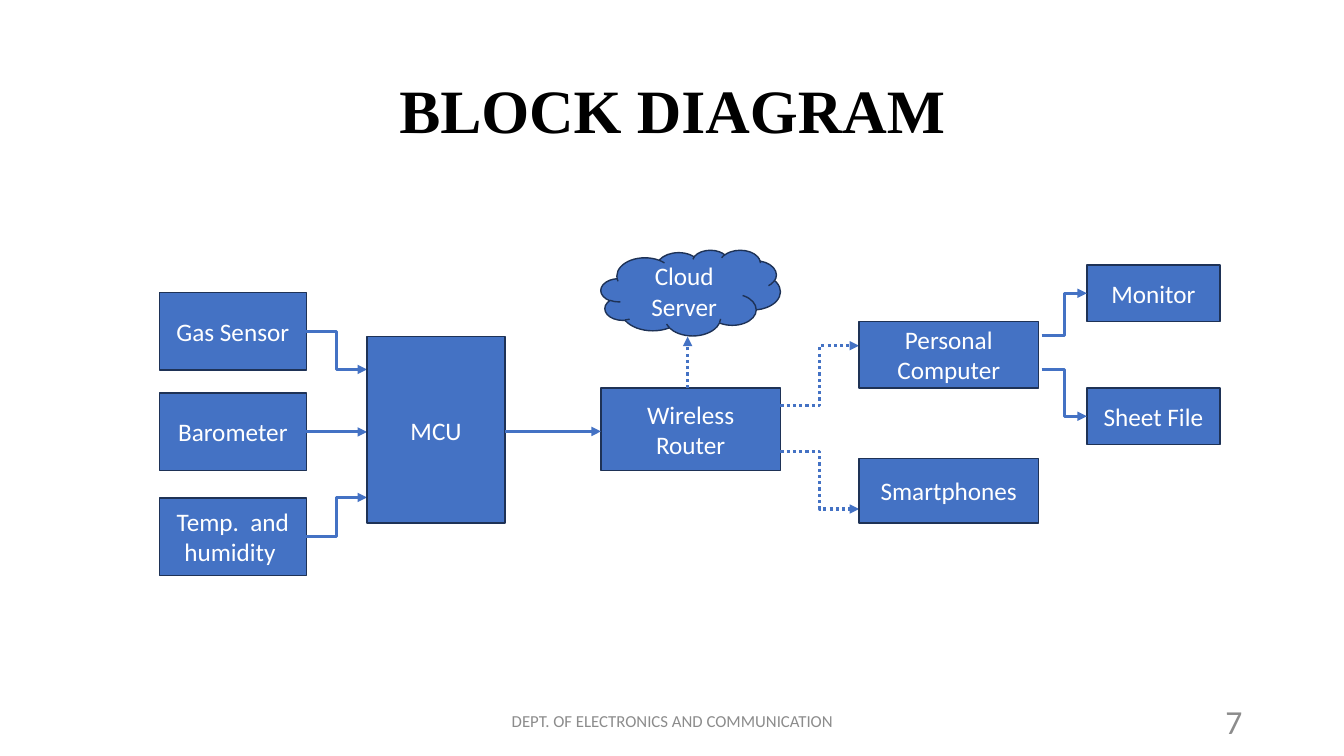
from pptx import Presentation
from pptx.dml.color import RGBColor
from pptx.enum.dml import MSO_LINE
from pptx.enum.shapes import MSO_CONNECTOR, MSO_SHAPE
from pptx.enum.text import MSO_ANCHOR, PP_ALIGN
from pptx.oxml.ns import qn
from pptx.util import Inches, Pt
from lxml import etree

RECT, CLOUD = MSO_SHAPE.RECTANGLE, MSO_SHAPE.CLOUD
LINE, ELBOW = MSO_CONNECTOR.STRAIGHT, MSO_CONNECTOR.ELBOW
DOTS = MSO_LINE.ROUND_DOT
MIDDLE = MSO_ANCHOR.MIDDLE
CENTER, RIGHT = PP_ALIGN.CENTER, PP_ALIGN.RIGHT
BLUE, NAVY, WHITE, BLACK, GRAY = "4472C4", "1E3256", "FFFFFF", "000000", "8C8C8C"


def color(code):
    return RGBColor.from_string(code)


def write(shape, text, size=18, font="Calibri", ink=WHITE, bold=False,
          align=CENTER, space=1.0):
    frame = shape.text_frame
    frame.word_wrap = True
    frame.vertical_anchor = MIDDLE
    para = frame.paragraphs[0]
    para.alignment = align
    para.line_spacing = space
    run = para.add_run()
    run.text = text
    run.font.size = Pt(size)
    run.font.name = font
    run.font.bold = bold
    run.font.color.rgb = color(ink)


def label(slide, box, text, **style):
    write(slide.shapes.add_textbox(*map(Inches, box)), text, **style)


def block(slide, box, text, kind=RECT):
    shape = slide.shapes.add_shape(kind, *map(Inches, box))
    shape.shadow.inherit = False
    shape.fill.solid()
    shape.fill.fore_color.rgb = color(BLUE)
    shape.line.color.rgb = color(NAVY)
    shape.line.width = Pt(1)
    write(shape, text)


def arrow(slide, start, end, dash=None):
    straight = start[0] == end[0] or start[1] == end[1]
    link = slide.shapes.add_connector(
        LINE if straight else ELBOW, *map(Inches, (*start, *end)))
    link.line.color.rgb = color(BLUE)
    link.line.width = Pt(2.25)
    if dash:
        link.line.dash_style = dash
    props = link._element.spPr
    etree.SubElement(props.find(qn("a:ln")), qn("a:tailEnd"), type="triangle")
    etree.SubElement(props, qn("a:effectLst"))


def sensors(slide, x, y):
    wide, high, gap = 1.46, 0.77, 0.6
    rows = (("Gas Sensor", 0, 0.38), ("Barometer", 1, 0),
            ("Temp.  and humidity ", 2.04, -0.39))
    for text, top, shift in rows:
        block(slide, (x, y + top, wide, high), text)
        mid = y + top + high / 2
        arrow(slide, (x + wide, mid), (x + wide + gap, mid + shift))


def network(slide, x, y):
    left, wide = x + 2.32, 1.78
    right = left + wide
    block(slide, (x, y + 0.86, 1.37, 1.85), "MCU")
    block(slide, (left, y + 1.37, wide, 0.82), "Wireless Router")
    block(slide, (left, y, wide, 0.85), "Cloud Server", CLOUD)
    arrow(slide, (x + 1.37, y + 1.8), (left, y + 1.8))
    arrow(slide, (left + 0.86, y + 1.37), (left + 0.86, y + 0.86), DOTS)
    for start, end in ((1.54, 0.95), (2, 2.57)):
        arrow(slide, (right, y + start), (right + 0.78, y + end), DOTS)


def devices(slide, x, y):
    wide = 1.78
    block(slide, (x, y + 0.56, wide, 0.66), "Personal Computer")
    block(slide, (x, y + 1.92, wide, 0.64), "Smartphones")
    # Targets fed by the computer
    left, high = x + 2.26, 0.56
    for text, top, start in (("Monitor", 0, 0.7), ("Sheet File", 1.22, 1.04)):
        block(slide, (left, y + top, 1.32, high), text)
        arrow(slide, (left - 0.45, y + start), (left, y + top + high / 2))


def footer(slide, x, y):
    label(slide, (x, y, 4.5, 0.4), "DEPT. OF ELECTRONICS AND COMMUNICATION",
          size=12, ink=GRAY)
    label(slide, (x + 5, y, 3, 0.4), "7", size=24, ink=GRAY, align=RIGHT)


def main():
    deck = Presentation()
    deck.slide_width, deck.slide_height = Inches(13.33), Inches(7.5)
    slide = deck.slides.add_slide(deck.slide_layouts[6])
    # Heading
    label(slide, (0.92, 0.4, 11.5, 1.45), "BLOCK DIAGRAM", size=44,
          font="Times New Roman", ink=BLACK, bold=True, space=0.9)
    # Diagram, left to right
    sensors(slide, 1.58, 2.9)
    network(slide, 3.64, 2.48)
    devices(slide, 8.52, 2.63)
    footer(slide, 4.42, 6.95)
    deck.save("out.pptx")


if __name__ == "__main__":
    main()
